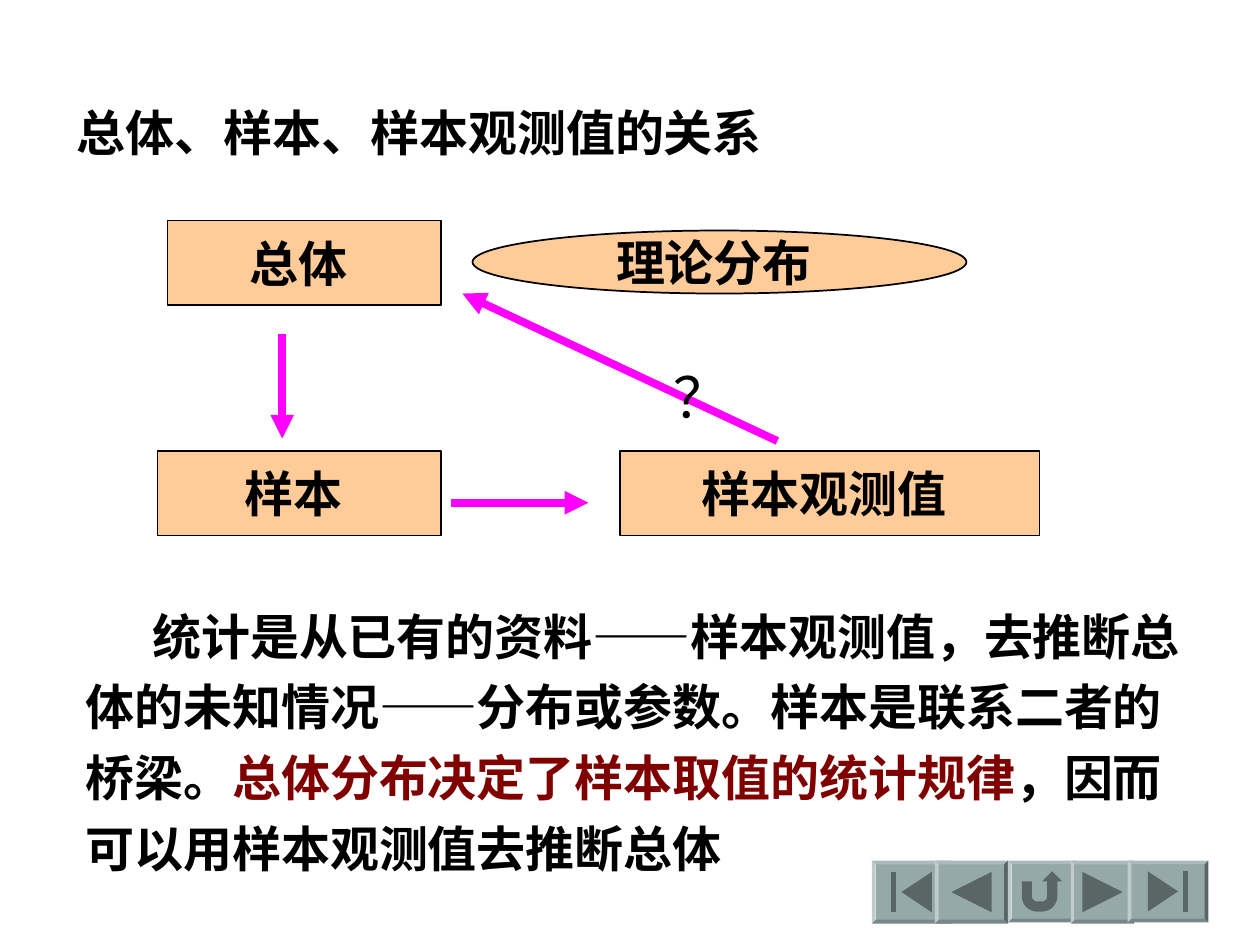
from math import cos, radians, sin

from lxml.etree import SubElement
from pptx import Presentation
from pptx.dml.color import RGBColor
from pptx.enum.lang import MSO_LANGUAGE_ID as Lang
from pptx.enum.shapes import MSO_CONNECTOR, MSO_SHAPE as Preset
from pptx.enum.text import MSO_ANCHOR as Anchor, MSO_AUTO_SIZE as AutoSize, PP_ALIGN as Align
from pptx.oxml.ns import qn
from pptx.util import Inches, Pt

THEME = {
    "text": "000000", "accent": "800000", "box": "FFCC99", "arrow": "FF00FF",
    "button": "96A9A9", "icon": "5A6565",
    "serif": "Times New Roman", "sans": "Noto Sans CJK SC",
    "size": 28, "question_size": 32, "outline": 1, "arrow_width": 4.5,
}

TITLE = "总体、样本、样本观测值的关系"
CONCEPTS = [  # text, preset, left, top, width, height
    ("总体 ", Preset.RECTANGLE, 1.33, 1.75, 2.17, 0.67),
    ("样本 ", Preset.RECTANGLE, 1.25, 3.58, 2.25, 0.67),
    ("样本观测值 ", Preset.RECTANGLE, 4.92, 3.58, 3.33, 0.67),
    ("理论分布 ", Preset.OVAL, 3.75, 1.83, 3.92, 0.5),
]
ARROWS = [  # start, end
    ((2.24, 2.65), (2.24, 3.48)),
    ((3.58, 3.99), (4.67, 3.99)),
    ((6.17, 3.5), (3.67, 2.33)),
]
QUESTION = "？"
EXPLANATION = [
    ("统计是从已有的资料——样本观测值，去推断总体的未知情况——分布或参数。样本是联系二者的桥梁。", "text"),
    ("总体分布决定了样本取值的统计规律", "accent"),
    ("，因而可以用样本观测值去推断总体", "text"),
]


def arc(cx, cy, radius, start, end):
    """Points along a circle, in degrees clockwise from the right."""
    angles = [radians(start + (end - start) * step / 8) for step in range(9)]
    return [(cx + radius * cos(a), cy + radius * sin(a)) for a in angles]


# Icons are outlines in a unit square.
BACK = [(0, 0.5), (1, 0), (1, 1)]
FIRST = [(0.25, 0.5), (1, 0), (1, 1)]
FIRST_BAR = [(0, 0), (0.12, 0), (0.12, 1), (0, 1)]
RETURN = [
    (0, 0.25), (0.25, 0.25), *arc(0.38, 0.62, 0.13, 180, 90),
    *arc(0.5, 0.62, 0.13, 90, 0), (0.63, 0.25), (0.5, 0.25), (0.75, 0),
    (1, 0.25), (0.88, 0.25), *arc(0.5, 0.62, 0.38, 0, 90),
    *arc(0.38, 0.62, 0.38, 90, 180),
]


def mirrored(outline):
    return [(1 - x, y) for x, y in outline]


BUTTON_TOP, ICON_SIDE = 6.83, 0.32
BUTTONS = [  # left, width, height, icon outlines
    (6.92, 0.63, 0.5, [FIRST, FIRST_BAR]),
    (7.42, 0.58, 0.5, [BACK]),
    (8.0, 0.54, 0.49, [RETURN]),
    (8.5, 0.5, 0.5, [mirrored(BACK)]),
    (8.95, 0.64, 0.49, [mirrored(FIRST), mirrored(FIRST_BAR)]),
]


def color(name):
    return RGBColor.from_string(THEME[name])


def write(frame, runs, font="sans", size="size", bold=True, align=Align.LEFT,
          anchor=Anchor.TOP, wrap=True, spacing=None, indent=0):
    """Fill a text frame with one paragraph of (text, colour name) runs."""
    frame.auto_size = AutoSize.NONE
    frame.word_wrap = wrap
    frame.vertical_anchor = anchor
    frame.margin_left = frame.margin_right = Inches(0.1)
    frame.margin_top = frame.margin_bottom = Inches(0.05)
    paragraph = frame.paragraphs[0]
    paragraph.alignment = align
    paragraph.space_before = Pt(0)
    if spacing:
        paragraph.line_spacing = spacing
    if indent:
        paragraph._p.get_or_add_pPr().set("indent", str(Inches(indent)))
    for text, shade in runs:
        run = paragraph.add_run()
        run.text = text
        run.font.name = THEME[font]
        run.font.size = Pt(THEME[size])
        run.font.bold = bold
        run.font.color.rgb = color(shade)
        run.font.language_id = Lang.SIMPLIFIED_CHINESE


def paint(shape, fill, line=None):
    shape.shadow.inherit = False
    shape.fill.solid()
    shape.fill.fore_color.rgb = color(fill)
    if line:
        shape.line.color.rgb = color(line)
        shape.line.width = Pt(THEME["outline"])
    else:
        shape.line.fill.background()


def add_arrow(shapes, start, end):
    arrow = shapes.add_connector(MSO_CONNECTOR.STRAIGHT, *map(Inches, start + end))
    arrow.line.color.rgb = color("arrow")
    arrow.line.width = Pt(THEME["arrow_width"])
    SubElement(arrow.line._get_or_add_ln(), qn("a:tailEnd"), type="triangle")
    SubElement(arrow._element.spPr, qn("a:effectLst"))


def add_button(shapes, left, width, height, icon):
    button = shapes.add_shape(
        Preset.BEVEL, *map(Inches, (left, BUTTON_TOP, width, height)))
    button.adjustments[0] = 0.06
    paint(button, "button")
    icon_left = left + (width - ICON_SIDE) / 2
    icon_top = BUTTON_TOP + (height - ICON_SIDE) / 2
    for outline in icon:
        points = [(Inches(icon_left + x * ICON_SIDE), Inches(icon_top + y * ICON_SIDE))
                  for x, y in outline]
        builder = shapes.build_freeform(*points[0])
        builder.add_line_segments(points[1:], close=True)
        paint(builder.convert_to_shape(), "icon")


def main():
    deck = Presentation()
    deck.slide_width, deck.slide_height = Inches(10), Inches(7.5)
    slide = deck.slides.add_slide(deck.slide_layouts[5])
    shapes = slide.shapes

    title = shapes.title
    title.left, title.top, title.width, title.height = map(Inches, (0.51, 0.76, 6.4, 0.57))
    write(title.text_frame, [(TITLE, "text")], font="serif")

    for text, preset, *place in CONCEPTS:
        concept = shapes.add_shape(preset, *map(Inches, place))
        paint(concept, "box", line="text")
        write(concept.text_frame, [(text, "text")], align=Align.CENTER,
              anchor=Anchor.MIDDLE, wrap=False)
    for start, end in ARROWS:
        add_arrow(shapes, start, end)

    question = shapes.add_textbox(*map(Inches, (5.25, 2.83, 0.5, 0.5)))
    write(question.text_frame, [(QUESTION, "text")], size="question_size",
          bold=False, wrap=False)
    explanation = shapes.add_textbox(*map(Inches, (0.58, 4.67, 9.08, 2.34)))
    write(explanation.text_frame, EXPLANATION, font="serif", spacing=1.2, indent=0.53)

    for button in BUTTONS:
        add_button(shapes, *button)
    deck.save("out.pptx")


if __name__ == "__main__":
    main()
